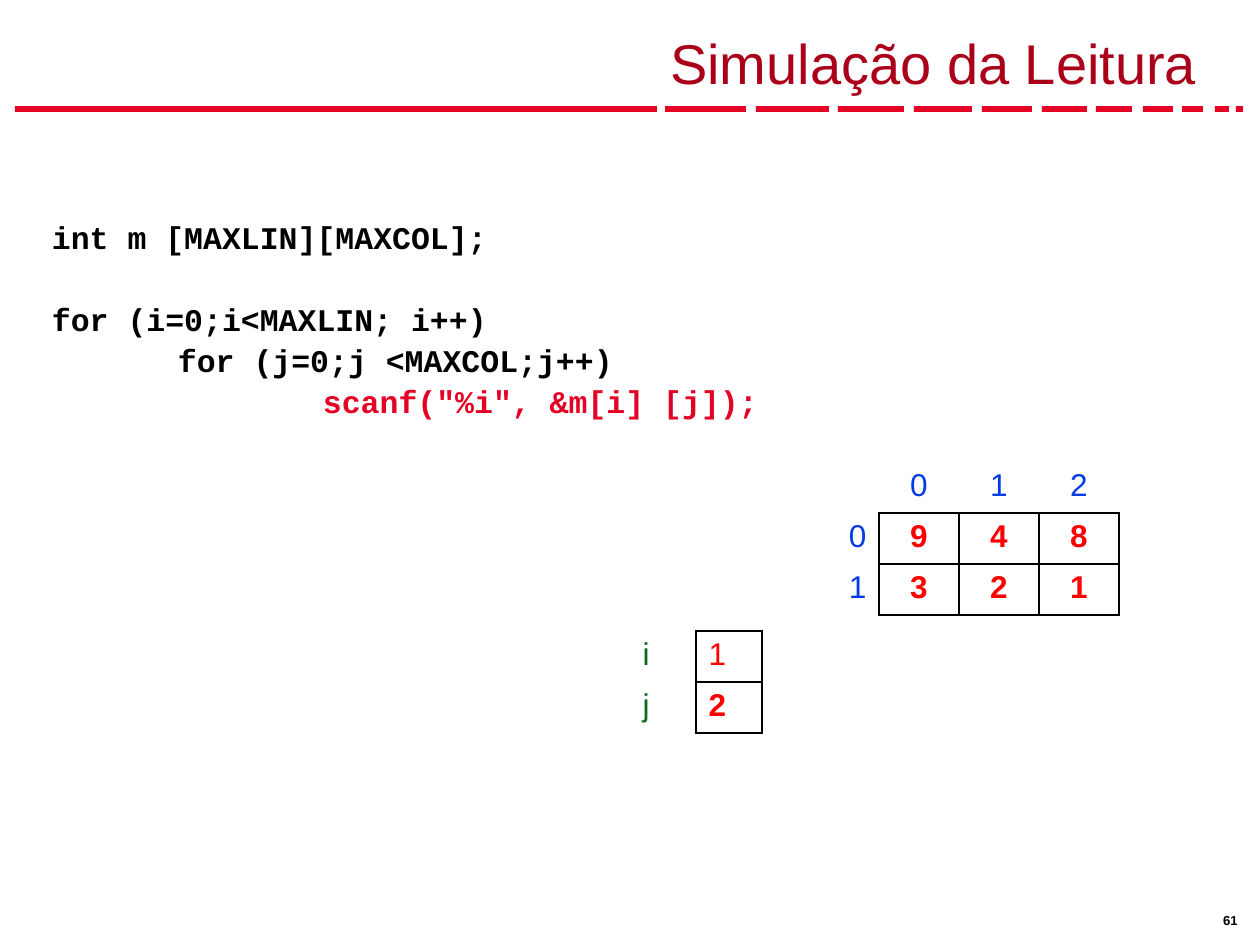
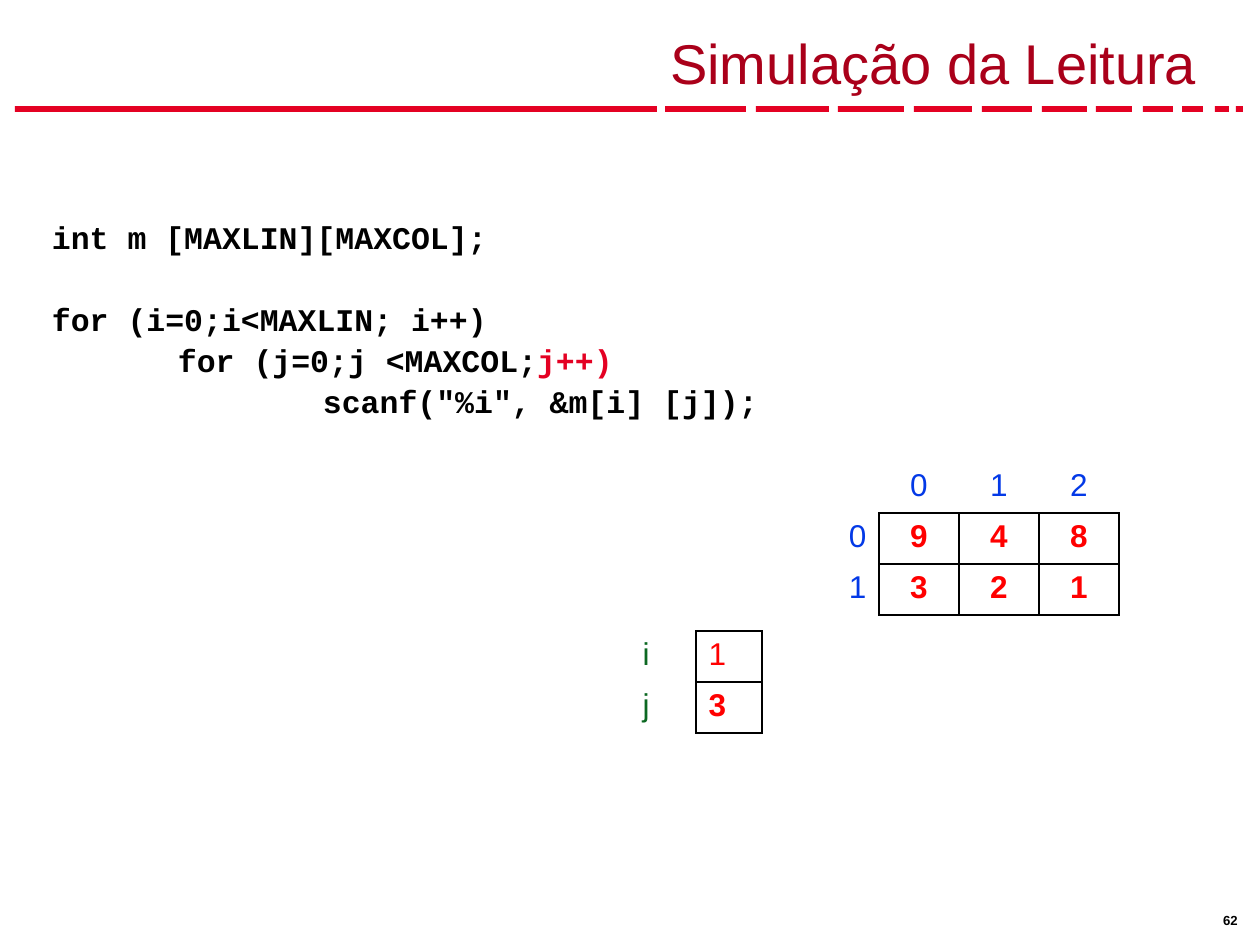
from lxml import etree
from pptx import Presentation
from pptx import util as u
from pptx.dml.color import RGBColor
from pptx.enum import shapes, text
from pptx.oxml import ns

RED = RGBColor(0xE4, 0x01, 0x23)
TITLE_RED = RGBColor(0xAA, 0x00, 0x1A)
VALUE_RED = RGBColor(0xFF, 0x00, 0x00)
BLUE = RGBColor(0x03, 0x39, 0xE7)
GREEN = RGBColor(0x0C, 0x68, 0x22)
BLACK = RGBColor(0x00, 0x00, 0x00)
WHITE = RGBColor(0xFF, 0xFF, 0xFF)

SCALE = 914400 / 126
LEFT, CENTER, RIGHT = text.PP_ALIGN.LEFT, text.PP_ALIGN.CENTER, text.PP_ALIGN.RIGHT

TITLE = "Simulação da Leitura"
BAND_TOP, BAND_HEIGHT = 106, 6
BAND_DASHES = [
    (15, 642), (665, 81), (756, 73), (838, 66), (914, 58), (982, 50),
    (1042, 45), (1096, 36), (1143, 30), (1182, 21), (1215, 14), (1236, 7),
]
LINE_PITCH = 41
MATRIX = [[9, 4, 8], [3, 2, 1]]

SLIDES = [
    {
        "number": 61,
        "counters": {"i": 1, "j": 2},
        "code": [
            (0, 0, [("int m [MAXLIN][MAXCOL];", BLACK)]),
            (0, 1, [("for (i=0;i<MAXLIN; i++)", BLACK)]),
            (126, 0, [("for (j=0;j <MAXCOL;j++)", BLACK)]),
            (271, 0, [('scanf("%i", &m[i] [j]);', RED)]),
        ],
    },
    {
        "number": 62,
        "counters": {"i": 1, "j": 3},
        "code": [
            (0, 0, [("int m [MAXLIN][MAXCOL];", BLACK)]),
            (0, 1, [("for (i=0;i<MAXLIN; i++)", BLACK)]),
            (126, 0, [("for (j=0;j <MAXCOL;", BLACK), ("j++)", RED)]),
            (271, 0, [('scanf("%i", &m[i] [j]);', BLACK)]),
        ],
    },
]


def px(length):
    return u.Emu(round(length * SCALE))


def add_run(paragraph, words, size, color, bold=False, font="Arial"):
    run = paragraph.add_run()
    run.text = words
    run.font.name = font
    run.font.size = u.Pt(size)
    run.font.bold = bold
    run.font.color.rgb = color


def set_margins(frame, left, top, right, bottom):
    frame.margin_left, frame.margin_top = px(left), px(top)
    frame.margin_right, frame.margin_bottom = px(right), px(bottom)


def add_text_frame(slide, left, top, width, height):
    box = slide.shapes.add_textbox(px(left), px(top), px(width), px(height))
    box.text_frame.word_wrap = True
    return box.text_frame


def add_title(slide):
    title = slide.shapes.title
    title.left, title.top, title.width, title.height = px(39), px(10), px(1187), px(92)
    frame = title.text_frame
    frame.auto_size = text.MSO_AUTO_SIZE.NONE
    frame.vertical_anchor = text.MSO_ANCHOR.BOTTOM
    set_margins(frame, 13, 6, 29, 6)
    paragraph = frame.paragraphs[0]
    paragraph.alignment = RIGHT
    add_run(paragraph, TITLE, 32, TITLE_RED)


def add_band(slide):
    for left, width in BAND_DASHES:
        dash = slide.shapes.add_shape(
            shapes.MSO_SHAPE.RECTANGLE, px(left), px(BAND_TOP), px(width), px(BAND_HEIGHT))
        dash.shadow.inherit = False
        dash.fill.solid()
        dash.fill.fore_color.rgb = RED
        dash.line.fill.background()


def add_number(slide, number):
    frame = add_text_frame(slide, 1213, 907, 42, 25)
    set_margins(frame, 10, 5, 10, 5)
    add_run(frame.paragraphs[0], str(number), 7.5, BLACK, bold=True)


def add_code(slide, lines):
    frame = add_text_frame(slide, 39, 127, 791, 341)
    set_margins(frame, 13, 6 + 2 * LINE_PITCH, 13, 6)
    for index, (indent, lines_before, runs) in enumerate(lines):
        paragraph = frame.add_paragraph() if index else frame.paragraphs[0]
        paragraph.line_spacing = u.Pt(round(px(LINE_PITCH).pt, 1))
        paragraph.space_before = px(lines_before * LINE_PITCH)
        properties = paragraph._p.get_or_add_pPr()
        properties.set("marL", str(px(indent)))
        properties.set("indent", "0")
        for words, color in runs:
            add_run(paragraph, words, 18, color, bold=True, font="Courier New")


def set_borders(cell, black_sides):
    properties = cell._tc.get_or_add_tcPr()
    for index, side in enumerate("LRTB"):
        line = etree.Element(ns.qn("a:ln" + side), w=str(u.Pt(1)))
        if side in black_sides:
            fill = etree.SubElement(line, ns.qn("a:solidFill"))
            etree.SubElement(fill, ns.qn("a:srgbClr"), val=str(BLACK))
        else:
            etree.SubElement(line, ns.qn("a:noFill"))
        properties.insert(index, line)


def add_boxed_table(slide, left, top, column_width, row_height, rows, header_rows):
    row_count, column_count = len(rows), len(rows[0])
    table = slide.shapes.add_table(
        row_count, column_count, px(left), px(top),
        px(column_width * column_count), px(row_height * row_count)).table
    table.first_row = table.horz_banding = False

    def boxed(row, column):
        return header_rows <= row < row_count and 1 <= column < column_count

    for column in table.columns:
        column.width = px(column_width)
    for row_index, row in enumerate(rows):
        table.rows[row_index].height = px(row_height)
        for column_index, (words, color, bold, alignment) in enumerate(row):
            cell = table.cell(row_index, column_index)
            cell.fill.solid()
            cell.fill.fore_color.rgb = WHITE
            neighbours = {
                "L": (row_index, column_index - 1), "R": (row_index, column_index + 1),
                "T": (row_index - 1, column_index), "B": (row_index + 1, column_index),
            }
            inside = boxed(row_index, column_index)
            set_borders(cell, [side for side, place in neighbours.items()
                               if inside or boxed(*place)])
            if words:
                paragraph = cell.text_frame.paragraphs[0]
                paragraph.alignment = alignment
                add_run(paragraph, words, 18, color, bold)


def add_matrix(slide):
    header = [("", BLUE, False, RIGHT)]
    header += [(str(column), BLUE, False, CENTER) for column in range(len(MATRIX[0]))]
    rows = [header]
    for index, values in enumerate(MATRIX):
        rows.append([(str(index), BLUE, False, RIGHT)]
                    + [(str(value), VALUE_RED, True, CENTER) for value in values])
    add_boxed_table(slide, 799, 462, 80, 51, rows, header_rows=1)


def add_counters(slide, counters):
    rows = [[(name, GREEN, False, LEFT), (str(value), VALUE_RED, name == "j", LEFT)]
            for name, value in counters.items()]
    add_boxed_table(slide, 630, 631, 66, 51, rows, header_rows=0)


def main():
    presentation = Presentation()
    presentation.slide_width, presentation.slide_height = px(1260), px(945)
    title_only = presentation.slide_layouts[5]
    for content in SLIDES:
        slide = presentation.slides.add_slide(title_only)
        add_band(slide)
        add_number(slide, content["number"])
        add_matrix(slide)
        add_counters(slide, content["counters"])
        add_title(slide)
        add_code(slide, content["code"])
    presentation.save("out.pptx")


if __name__ == "__main__":
    main()
